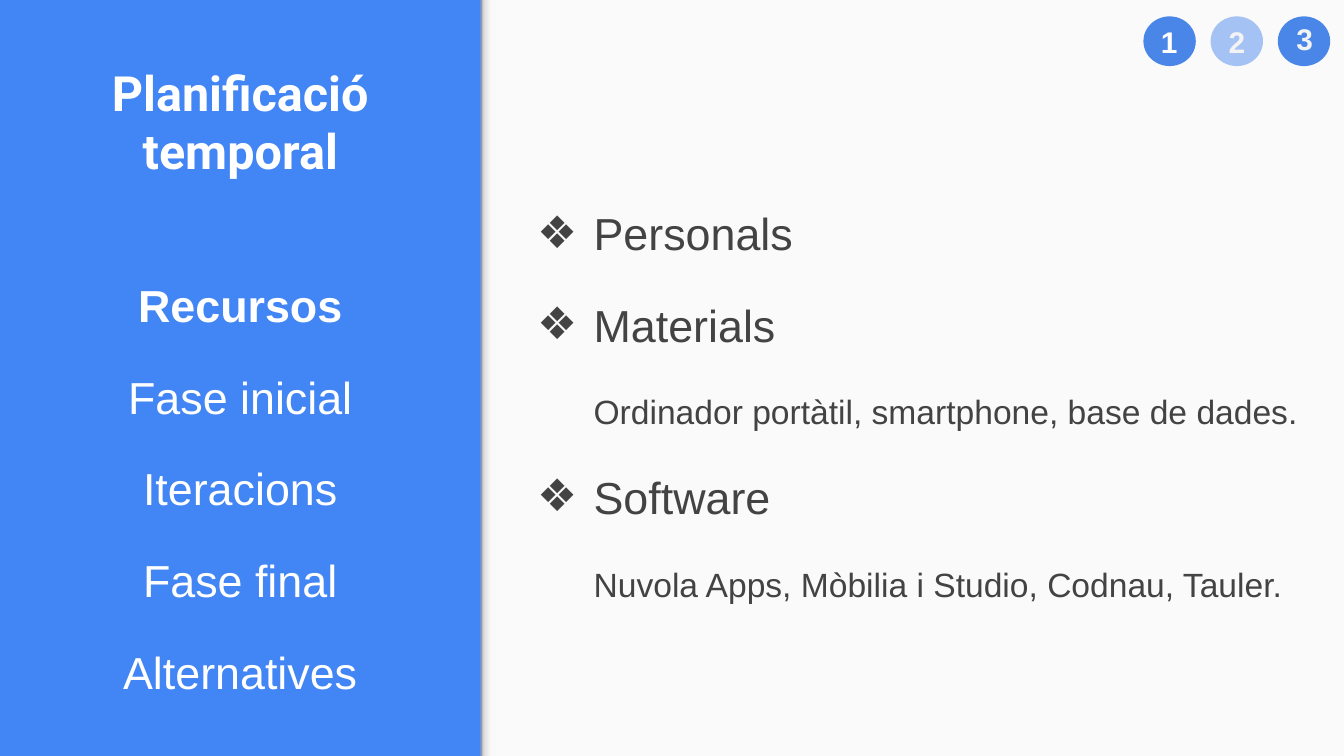
from copy import deepcopy
from dataclasses import dataclass

from lxml import etree
from pptx import Presentation
from pptx.dml.color import RGBColor
from pptx.enum.shapes import MSO_SHAPE
from pptx.enum.text import MSO_ANCHOR, MSO_AUTO_SIZE, PP_ALIGN
from pptx.oxml.ns import qn
from pptx.util import Cm, Pt

RECT, OVAL = MSO_SHAPE.RECTANGLE, MSO_SHAPE.OVAL
TOP, MIDDLE, BOTTOM = MSO_ANCHOR.TOP, MSO_ANCHOR.MIDDLE, MSO_ANCHOR.BOTTOM
LEFT, CENTER, JUSTIFY = PP_ALIGN.LEFT, PP_ALIGN.CENTER, PP_ALIGN.JUSTIFY
NO_FIT = MSO_AUTO_SIZE.NONE

WIDTH, HEIGHT, SIDE = 25.4, 14.29, 9.09
BLUE, PALE, WHITE, GREY = "4285F4", "FAFAFA", "FFFFFF", "434343"


@dataclass
class Step:
    label: str
    fill: str
    ink: str
    top: float


@dataclass
class Item:
    text: str
    size: int = 24
    space: float = 1.15
    after: int = 0
    mark: str = ""


STEPS = [
    Step("1", "4A86E8", WHITE, 0.2),
    Step("2", "A4C2F4", "F3F3F3", 0.2),
    Step("3", "4A86E8", "F3F3F3", 0.15),
]
PHASES = ["Recursos", "Fase inicial", "Iteracions", "Fase final", "Alternatives"]
ITEMS = [
    Item("Personals", space=2, after=16, mark="❖"),
    Item("Materials", mark="❖"),
    Item("Ordinador portàtil, smartphone, base de dades.", 18, 2, 16),
    Item("Software", mark="❖"),
    Item("Nuvola Apps, Mòbilia i Studio, Codnau, Tauler.", 18, 2),
]
SHADE = [(0, "F9F9F9"), (0.36, "F9F9F9"), (0.8, "DEDEDE"), (1, "999999")]


def color(code: str) -> RGBColor:
    return RGBColor.from_string(code)


def shape(slide, kind, x: float, y: float, w: float, h: float, fill: str):
    item = slide.shapes.add_shape(kind, Cm(x), Cm(y), Cm(w), Cm(h))
    item.shadow.inherit = False
    item.line.fill.background()
    item.fill.solid()
    item.fill.fore_color.rgb = color(fill)
    return item


def shade(item) -> None:
    item.fill.gradient()
    item.fill.gradient_angle = 90
    stops = item._element.spPr.find(qn("a:gradFill")).find(qn("a:gsLst"))
    for _ in range(len(SHADE) - len(stops)):
        stops.append(deepcopy(stops[0]))
    for stop, (place, code) in zip(item.fill.gradient_stops, SHADE):
        stop.position = place
        stop.color.rgb = color(code)


def frame(item, anchor=TOP):
    body = item.text_frame
    body.word_wrap = True
    body.auto_size = NO_FIT
    body.vertical_anchor = anchor
    body.margin_left = body.margin_right = Cm(0.25)
    body.margin_top = body.margin_bottom = Cm(0.25)
    return body


def box(slide, x: float, y: float, w: float, h: float, anchor=TOP):
    return frame(slide.shapes.add_textbox(Cm(x), Cm(y), Cm(w), Cm(h)), anchor)


def write(body, text: str, *, size=24, font="Arial", ink=WHITE, bold=False,
          align=LEFT, space=1.0, after=0):
    first = body.paragraphs[0]
    para = body.add_paragraph() if first.runs else first
    para.alignment = align
    para.line_spacing = space
    para.space_after = Pt(after)
    run = para.add_run()
    run.text = text
    run.font.name = font
    run.font.size = Pt(size)
    run.font.bold = bold
    run.font.color.rgb = color(ink)
    return para


def indent(para, mark: str) -> None:
    props = para._p.get_or_add_pPr()
    props.set("marL", str(Cm(1.27)))
    props.set("indent", str(Cm(-1.07) if mark else 0))
    if mark:
        tint = etree.SubElement(props, qn("a:buClr"))
        etree.SubElement(tint, qn("a:srgbClr"), val=GREY)
        etree.SubElement(props, qn("a:buFont"), typeface="Arial")
        etree.SubElement(props, qn("a:buChar"), char=mark)


def main() -> None:
    deck = Presentation()
    deck.slide_width, deck.slide_height = Cm(WIDTH), Cm(HEIGHT)
    slide = deck.slides.add_slide(deck.slide_layouts[5])
    back = slide.background.fill
    back.solid()
    back.fore_color.rgb = color(BLUE)

    panel = shape(slide, RECT, SIDE, 0, WIDTH - SIDE, HEIGHT, PALE)
    thick = 0.3
    edge = shape(slide, RECT, SIDE + (thick - HEIGHT) / 2, (HEIGHT - thick) / 2,
                 HEIGHT, thick, PALE)
    edge.rotation = 270
    shade(edge)

    title = slide.shapes.title
    title.left, title.top = Cm(0), Cm(1)
    title.width, title.height = Cm(SIDE), Cm(2.64)
    write(frame(title, BOTTOM), "Planificació temporal", size=26,
          font="Roboto", bold=True, align=CENTER)
    tree = slide.shapes._spTree
    tree.remove(title._element)
    tree.append(title._element)

    menu = box(slide, 0.64, 4.85, 7.8, 9.42)
    for phase in PHASES:
        write(menu, phase, bold=phase == PHASES[0], align=CENTER,
              space=1.15, after=16)

    body = box(slide, 9.7, 0, WIDTH - 9.7, HEIGHT, MIDDLE)
    for item in ITEMS:
        para = write(body, item.text, size=item.size, ink=GREY, align=JUSTIFY,
                     space=item.space, after=item.after)
        indent(para, item.mark)

    for i, step in enumerate(STEPS):
        shape(slide, OVAL, 21.61 + 1.27 * i, 0.31, 0.99, 0.94, step.fill)
    for i, step in enumerate(STEPS):
        label = box(slide, 21.69 + 1.28 * i, step.top, 0.99, 0.71)
        write(label, step.label, size=16, ink=step.ink, bold=True)

    deck.save("out.pptx")


if __name__ == "__main__":
    main()
